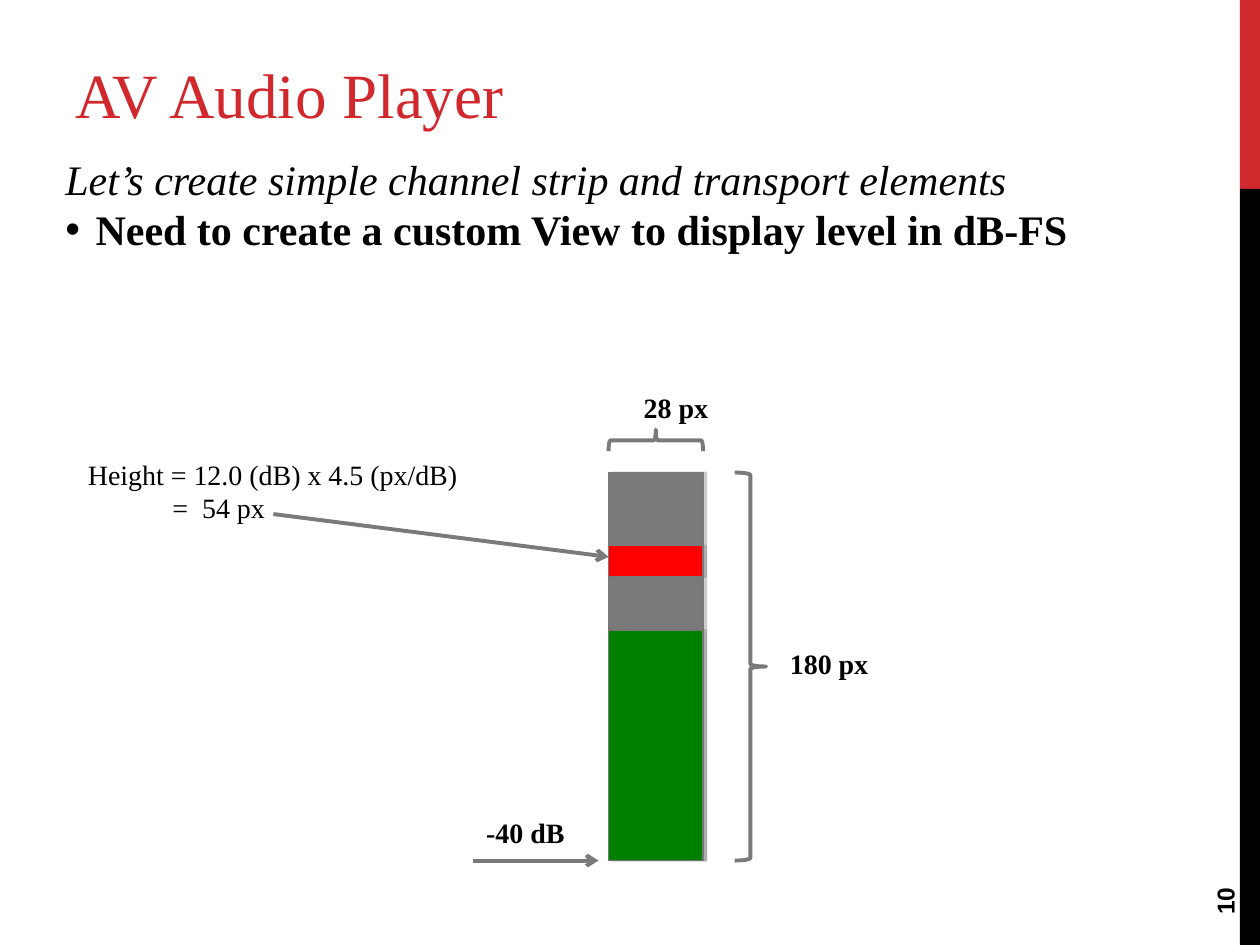
from dataclasses import dataclass

from lxml.etree import SubElement
from pptx import Presentation
from pptx.dml.color import RGBColor
from pptx.enum.shapes import MSO_CONNECTOR, MSO_SHAPE
from pptx.enum.text import MSO_ANCHOR, MSO_AUTO_SIZE
from pptx.oxml import parse_xml
from pptx.oxml.ns import nsdecls, qn
from pptx.util import Inches, Pt


@dataclass(frozen=True)
class Theme:
    accent: str = "D1282E"
    ink: str = "000000"
    track: str = "7A7A7A"
    outline: str = "777777"
    shadow: str = "808080"
    level: str = "008000"
    peak: str = "FF0000"
    serif: str = "Times New Roman"
    sans: str = "Arial"
    title_size: int = 36
    body_size: int = 24
    label_size: int = 16
    number_size: int = 14


theme = Theme()


def add_text(box, lines, size, color=theme.ink, name=theme.serif,
             anchor=MSO_ANCHOR.TOP, wrap=True):
    """Add a text box; each line is (text, font values)."""
    shape = slide.shapes.add_textbox(*map(Inches, box))
    frame = shape.text_frame
    frame_format = {"word_wrap": wrap, "vertical_anchor": anchor,
                    "auto_size": MSO_AUTO_SIZE.NONE}
    for key, value in frame_format.items():
        setattr(frame, key, value)
    for index, (text, values) in enumerate(lines):
        paragraph = frame.add_paragraph() if index else frame.paragraphs[0]
        run = paragraph.add_run()
        run.text = text
        for key, value in {"name": name, "size": Pt(size), **values}.items():
            setattr(run.font, key, value)
        run.font.color.rgb = RGBColor.from_string(color)
    return shape


def set_line(shape, color, width):
    shape.line.color.rgb = RGBColor.from_string(color)
    shape.line.width = Pt(width)


presentation = Presentation()
presentation.slide_width = Inches(10)
presentation.slide_height = Inches(7.5)
slide = presentation.slides.add_slide(presentation.slide_layouts[6])

# Side bands
for top, height, color in [(0, 1.5, theme.accent), (1.5, 6, theme.ink)]:
    band = slide.shapes.add_shape(
        MSO_SHAPE.RECTANGLE, *map(Inches, (9.84, top, 0.16, height)))
    band.shadow.inherit = False
    band.fill.solid()
    band.fill.fore_color.rgb = RGBColor.from_string(color)
    band.line.fill.background()

# Title, page number and body
add_text((0.5, 0.17, 8.75, 0.92), [("AV Audio Player", {})],
         theme.title_size, theme.accent, anchor=MSO_ANCHOR.BOTTOM)
number = add_text((9, 6.44, 1.44, 0.4), [("10", {"bold": True})],
                  theme.number_size, name=theme.sans, anchor=MSO_ANCHOR.MIDDLE)
number.rotation = 270
body = add_text((0.42, 1.17, 9.08, 0.9), [
    ("Let’s create simple channel strip and transport elements", {"italic": True}),
    ("Need to create a custom View to display level in dB-FS", {"bold": True}),
], theme.body_size)
bullet_properties = body.text_frame.paragraphs[1]._p.get_or_add_pPr()
bullet_properties.set("marL", str(Inches(0.24)))
bullet_properties.set("indent", str(-Inches(0.24)))
SubElement(bullet_properties, qn("a:buFont"), typeface=theme.sans)
SubElement(bullet_properties, qn("a:buChar"), char="•")

# Level meter: track, current level and peak
meter_left, meter_top, meter_width, meter_bottom = 4.83, 3.75, 0.75, 6.83
for top, bottom, color in [(meter_top, meter_bottom, theme.track),
                           (5, meter_bottom, theme.level),
                           (4.33, 4.58, theme.peak)]:
    bar = slide.shapes.add_shape(
        MSO_SHAPE.RECTANGLE,
        *map(Inches, (meter_left, top, meter_width, bottom - top)))
    bar.fill.solid()
    bar.fill.fore_color.rgb = RGBColor.from_string(color)
    set_line(bar, theme.outline, 1)
    bar._element.spPr.append(parse_xml(
        f'<a:effectLst {nsdecls("a")}><a:outerShdw dist="{Pt(1.8)}" dir="0">'
        f'<a:srgbClr val="{theme.shadow}"><a:alpha val="40000"/></a:srgbClr>'
        '</a:outerShdw></a:effectLst>'))

# Dimension braces
for box, rotation in [((5.83, meter_top, 0.25, meter_bottom - meter_top), 0),
                      ((5.12, 3.12, 0.17, meter_width), 270)]:
    brace = slide.shapes.add_shape(MSO_SHAPE.RIGHT_BRACE, *map(Inches, box))
    brace.rotation = rotation
    brace.shadow.inherit = False
    brace.fill.background()
    set_line(brace, theme.track, 2.25)

# Arrows
for ends in [(3.75, meter_bottom, 4.75, meter_bottom),
             (2.17, 4.08, meter_left, 4.42)]:
    arrow = slide.shapes.add_connector(MSO_CONNECTOR.STRAIGHT, *map(Inches, ends))
    set_line(arrow, theme.track, 2.25)
    SubElement(arrow.line._get_or_add_ln(), qn("a:tailEnd"), type="arrow")
    SubElement(arrow._element.spPr, qn("a:effectLst"))

# Labels
for text, left, top, width in [("28 px", 5.01, 3.05, 0.71),
                               ("180 px", 6.17, 5.08, 0.82),
                               ("-40 dB", 3.76, 6.42, 0.82)]:
    add_text((left, top, width, 0.37), [(text, {"bold": True})],
             theme.label_size, wrap=False)
formula = add_text((0.6, 3.58, 3.13, 0.64), [
    ("Height = 12.0 (dB) x 4.5 (px/dB)", {}),
    ("=  54 px", {}),
], theme.label_size, wrap=False)
result_properties = formula.text_frame.paragraphs[1]._p.get_or_add_pPr()
result_properties.set("marL", str(Inches(0.67)))

presentation.save("out.pptx")
